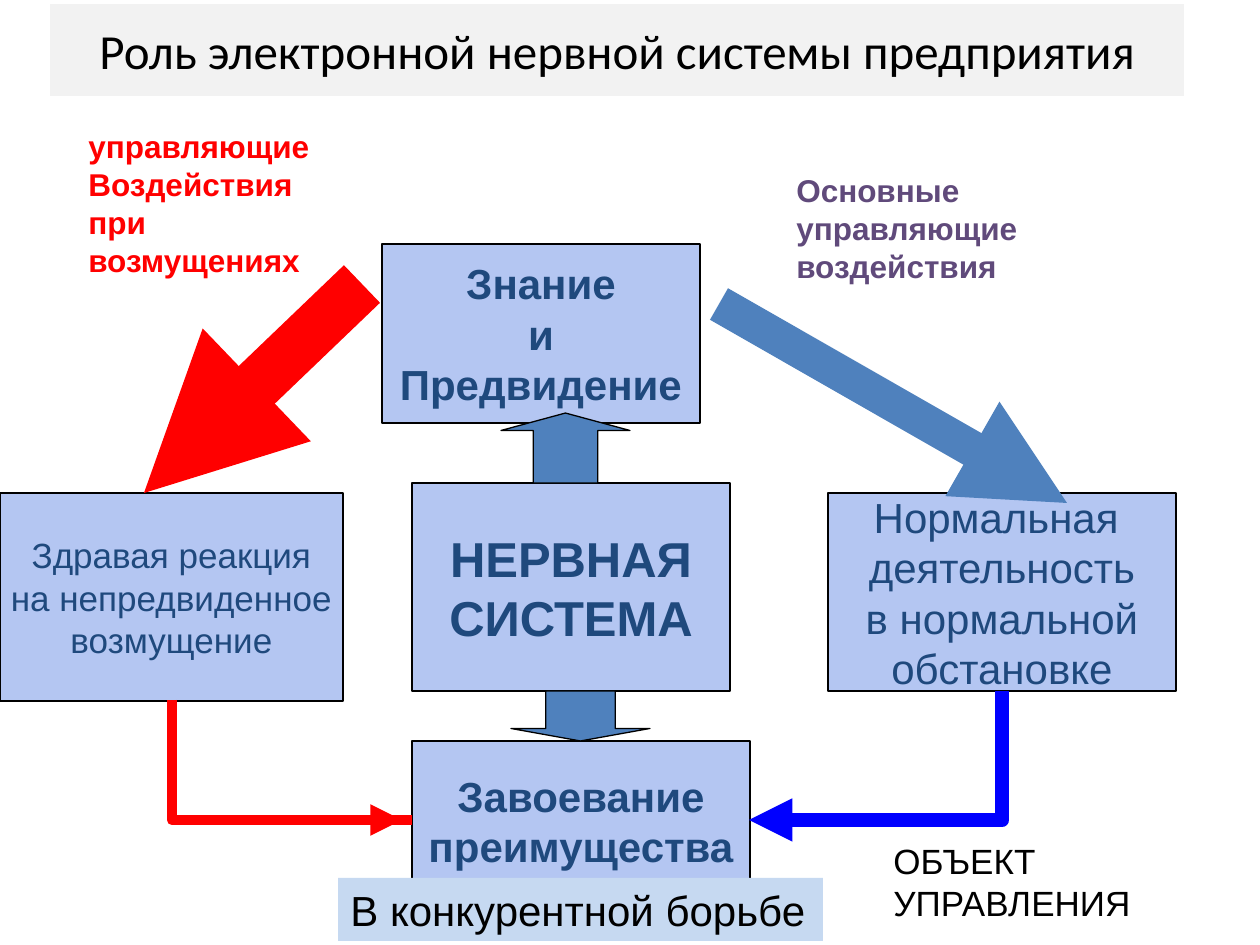
"""Build the slide on the role of an enterprise's electronic nervous system."""
from lxml.etree import SubElement
from pptx import Presentation
from pptx.dml.color import RGBColor
from pptx.enum.shapes import MSO_CONNECTOR as Connector, MSO_SHAPE as Preset
from pptx.enum.text import MSO_ANCHOR as Anchor, PP_ALIGN as Align
from pptx.oxml.ns import qn
from pptx.util import Pt

THEME = {
    "title_fill": "F2F2F2", "box_fill": "B4C6F2", "label_fill": "C6D9F1",
    "black": "000000", "navy": "1F497D", "steel": "4F81BD",
    "red": "FF0000", "blue": "0000FF", "violet": "604A7B",
    "title": 28, "core": 28, "large": 24, "medium": 20, "small": 18,
    "heading_font": "Calibri", "body_font": "Arial",
}
EMU_PER_PX = 914400 / 126


def px(*lengths):
    return [round(length * EMU_PER_PX) for length in lengths]


def write(shape, text, size, color, bold=False, align=Align.LEFT, font="body_font"):
    frame = shape.text_frame
    frame.text = text
    for paragraph in frame.paragraphs:
        paragraph.alignment = align
        for run in paragraph.runs:
            run.font.name = THEME[font]
            run.font.size = Pt(THEME[size])
            run.font.bold = bold
            run.font.color.rgb = RGBColor.from_string(THEME[color])
    return frame


presentation = Presentation()
presentation.slide_width, presentation.slide_height = px(1260, 945)
slide = presentation.slides.add_slide(presentation.slide_layouts[5])
shapes = slide.shapes

title = shapes.title
title.left, title.top, title.width, title.height = px(50, 4, 1134, 92)
title.fill.solid()
title.fill.fore_color.rgb = RGBColor.from_string(THEME["title_fill"])
frame = write(title, "Роль электронной нервной системы предприятия",
              "title", "black", align=Align.CENTER, font="heading_font")
frame.vertical_anchor = Anchor.MIDDLE

boxes = [
    ((382, 244, 318, 179), "Знание\nи\nПредвидение", "large", True),
    ((412, 483, 318, 208), "НЕРВНАЯ\nСИСТЕМА", "core", True),
    ((412, 741, 338, 159), "Завоевание\nпреимущества", "large", True),
    ((0, 493, 343, 208), "Здравая реакция\nна непредвиденное\nвозмущение", "medium", False),
    ((828, 493, 348, 198), "Нормальная \nдеятельность\nв нормальной\nобстановке", "large", False),
]
for place, text, size, bold in boxes:
    box = shapes.add_shape(Preset.RECTANGLE, *px(*place))
    box.shadow.inherit = False
    box.fill.solid()
    box.fill.fore_color.rgb = RGBColor.from_string(THEME["box_fill"])
    box.line.color.rgb = RGBColor.from_string(THEME["black"])
    box.line.width = Pt(0.75)
    frame = write(box, text, size, "navy", bold, Align.CENTER)
    frame.word_wrap = False
    frame.vertical_anchor = Anchor.MIDDLE

block_arrows = [
    (Preset.UP_ARROW, (501, 413, 129, 70)),
    (Preset.DOWN_ARROW, (511, 691, 139, 50)),
]
for preset, place in block_arrows:
    arrow = shapes.add_shape(preset, *px(*place))
    arrow.adjustments[0], arrow.adjustments[1] = 0.5, 0.25
    arrow.shadow.inherit = False
    arrow.fill.solid()
    arrow.fill.fore_color.rgb = RGBColor.from_string(THEME["steel"])
    arrow.line.color.rgb = RGBColor.from_string(THEME["black"])
    arrow.line.width = Pt(0.75)

connectors = [
    ((719, 304, 1067, 503), "steel", 20.75, True, None),
    ((362, 284, 144, 493), "red", 29.75, True, None),
    ((352, 640, 232, 880), "red", 6, False, 270),
    ((811, 629, 940, 882), "blue", 8.25, True, 90),
    ((184, 820, 402, 820), "red", 6, True, None),
]
for ends, color, width, has_head, rotation in connectors:
    connector = shapes.add_connector(Connector.STRAIGHT, *px(*ends))
    connector.line.color.rgb = RGBColor.from_string(THEME[color])
    connector.line.width = Pt(width)
    properties = connector._element.spPr
    if rotation is not None:
        properties.find(qn("a:xfrm")).set("rot", str(rotation * 60000))
        properties.find(qn("a:prstGeom")).set("prst", "bentConnector2")
    if has_head:
        SubElement(properties.find(qn("a:ln")), qn("a:tailEnd"), type="triangle")
    SubElement(properties, qn("a:effectLst"))

label = shapes.add_shape(Preset.RECTANGLE, *px(338, 878, 485, 63))
label.shadow.inherit = False
label.fill.solid()
label.fill.fore_color.rgb = RGBColor.from_string(THEME["label_fill"])
label.line.fill.background()
frame = write(label, "В конкурентной борьбе", "large", "black")
frame.word_wrap = False
frame.vertical_anchor = Anchor.TOP

captions = [
    ((784, 165, 253, 165), "Основные управляющие\nвоздействия", "small", "violet", True),
    ((76, 121, 253, 165), "управляющие\nВоздействия\nпри\nвозмущениях", "small", "red", True),
    ((881, 833, 282, 97), "ОБЪЕКТ\nУПРАВЛЕНИЯ", "medium", "black", False),
]
for place, text, size, color, bold in captions:
    caption = shapes.add_textbox(*px(*place))
    write(caption, text, size, color, bold).word_wrap = True

presentation.save("out.pptx")
